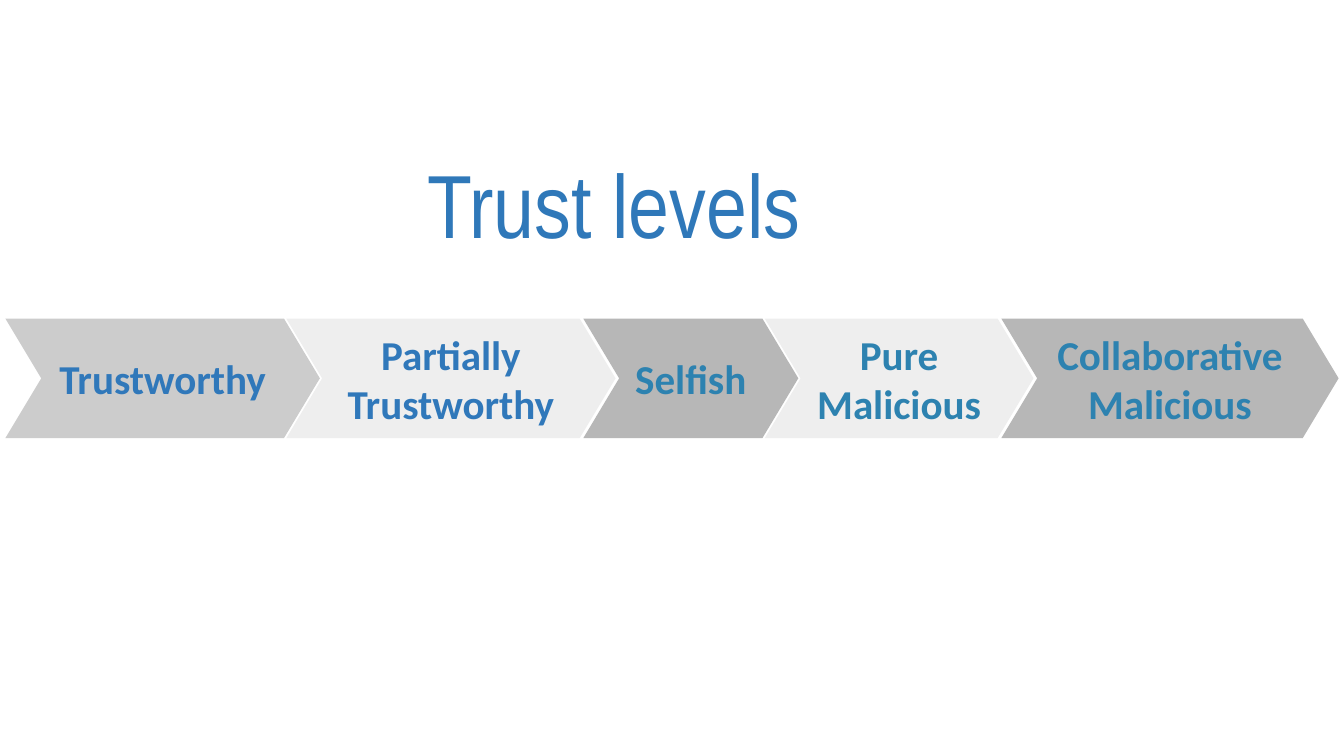
from pptx import Presentation
from pptx import util as u
from pptx.dml.color import RGBColor
from pptx.enum import shapes, text

TITLE_BLUE = RGBColor(0x2F, 0x78, 0xB9)
BLUE = RGBColor(0x30, 0x78, 0xBA)
TEAL = RGBColor(0x2D, 0x82, 0xB0)
SILVER = RGBColor(0xCC, 0xCC, 0xCC)
PALE = RGBColor(0xEE, 0xEE, 0xEE)
GREY = RGBColor(0xB7, 0xB7, 0xB7)


def write(sp, wording, font, size, color, align, bold):
    tf = sp.text_frame
    tf.word_wrap = True
    tf.auto_size = text.MSO_AUTO_SIZE.NONE
    tf.vertical_anchor = text.MSO_ANCHOR.MIDDLE
    tf.margin_left = tf.margin_right = u.Inches(0.1)
    tf.margin_top = tf.margin_bottom = u.Inches(0.1)
    p = tf.paragraphs[0]
    p.alignment = align
    r = p.add_run()
    r.text = wording
    r.font.name = font
    r.font.size = u.Pt(size)
    r.font.bold = bold
    r.font.color.rgb = color


prs = Presentation()
prs.slide_width = u.Inches(10)
prs.slide_height = u.Inches(10 * 9 / 16)
s = prs.slides.add_slide(prs.slide_layouts[5])

title = s.shapes.title
title.left, title.top = u.Inches(3.08), u.Inches(0.93)
title.width, title.height = u.Inches(3.85), u.Inches(1.16)
write(title, "Trust levels", "Arial Narrow", 48, TITLE_BLUE, text.PP_ALIGN.LEFT, False)

levels = [
    ("Trustworthy", 0.04, 2.34, SILVER, BLUE),
    ("Partially Trustworthy", 2.13, 2.45, PALE, BLUE),
    ("Selfish", 4.34, 1.6, GREY, TEAL),
    ("Pure Malicious", 5.69, 2, PALE, TEAL),
    ("Collaborative Malicious", 7.45, 2.51, GREY, TEAL),
]
for label, left, width, fill, color in levels:
    sp = s.shapes.add_shape(shapes.MSO_SHAPE.CHEVRON, u.Inches(left), u.Inches(2.37),
                            u.Inches(width), u.Inches(0.89))
    sp.adjustments[0] = 0.3
    sp.shadow.inherit = False
    sp.fill.solid()
    sp.fill.fore_color.rgb = fill
    sp.line.fill.background()
    write(sp, label, "Calibri", 22, color, text.PP_ALIGN.CENTER, True)

prs.save("out.pptx")
